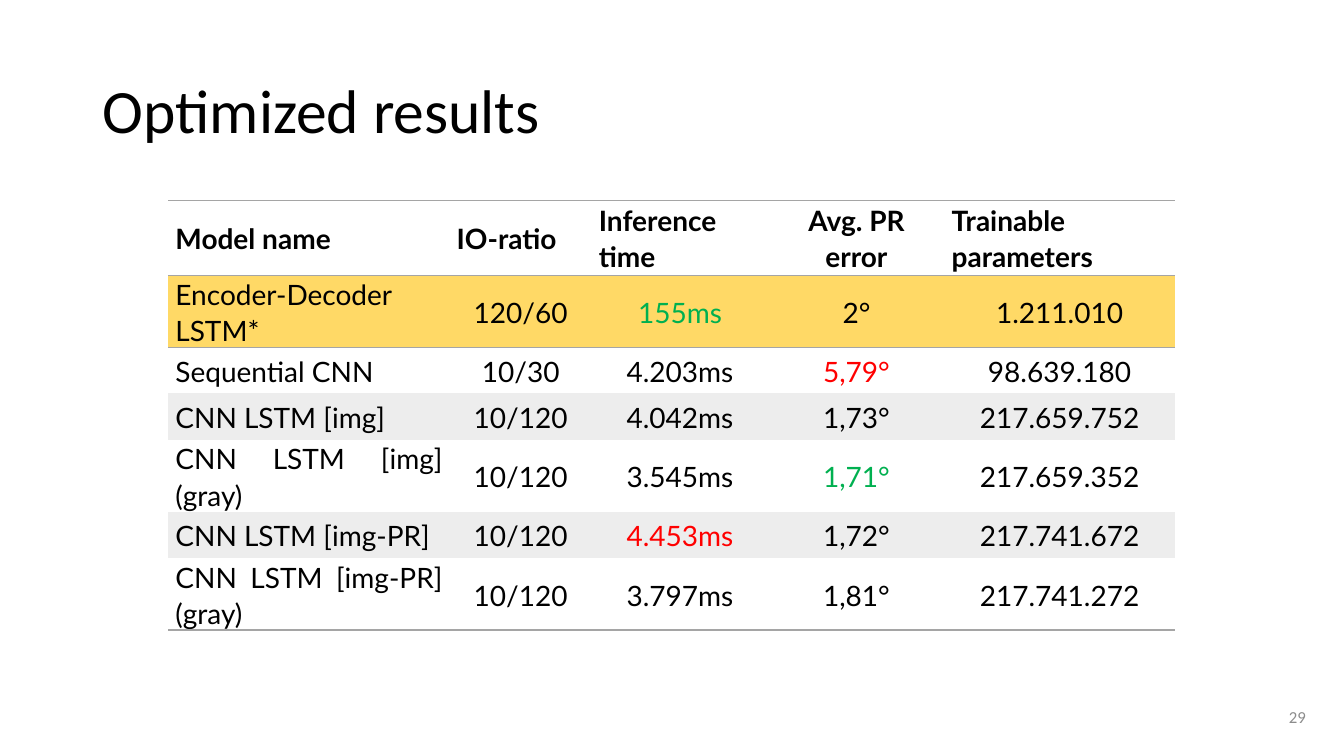
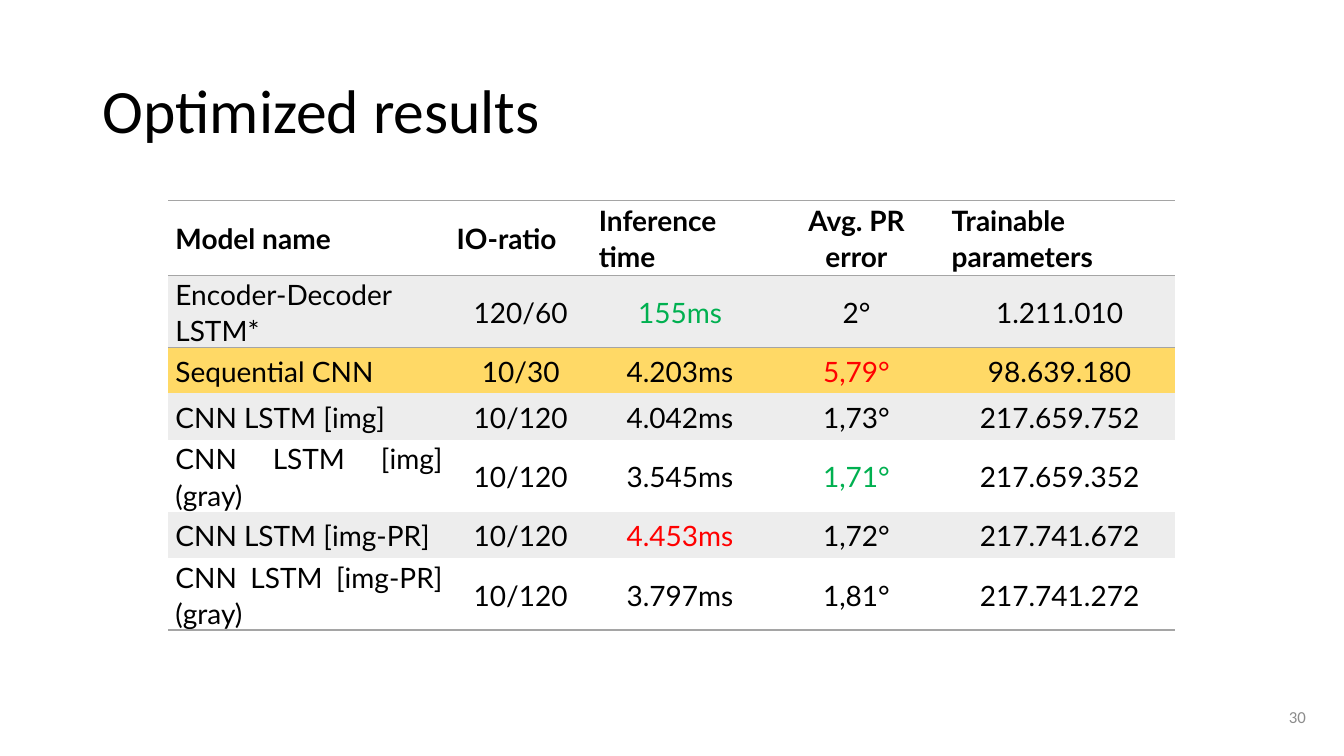
from lxml.etree import SubElement
from pptx import Presentation
from pptx.dml.color import RGBColor
from pptx.enum.text import MSO_ANCHOR, PP_ALIGN
from pptx.oxml.ns import qn
from pptx.util import Inches, Pt

BLACK, GRAY, RULE = "000000", "8C8C8C", "A5A5A5"
GREEN, RED = "00B050", "FF0000"
BAND, HIGHLIGHT = "EDEDED", "FFD966"
NO_GRID_STYLE = "{2D5ABB26-0587-4C30-8999-92F81FD0307C}"

HEADER = ["Model name", "IO-ratio", "Inference time ", "Avg. PR error", "Trainable parameters"]
RESULTS = [
    ["Encoder-Decoder LSTM*", "120/60", "155ms", "2°", "1.211.010"],
    ["Sequential CNN", "10/30", "4.203ms", "5,79°", "98.639.180"],
    ["CNN LSTM [img]", "10/120", "4.042ms", "1,73°", "217.659.752"],
    ["CNN LSTM [img] (gray)", "10/120", "3.545ms", "1,71°", "217.659.352"],
    ["CNN LSTM [img-PR]", "10/120", "4.453ms", "1,72°", "217.741.672"],
    ["CNN LSTM [img-PR] (gray)", "10/120", "3.797ms", "1,81°", "217.741.272"],
]
TEXT_COLORS = {"155ms": GREEN, "1,71°": GREEN, "4.453ms": RED, "5,79°": RED}
COLUMN_WIDTHS = [2.79, 1.41, 1.75, 1.75, 2.28]
ROW_HEIGHTS = [0.74] + [0.46] * len(RESULTS)


def rgb(value):
    return RGBColor.from_string(value)


class Deck:
    """Holds the presentation, its style and the current slide."""

    def __init__(self):
        self.presentation = Presentation()
        self.presentation.slide_width = Inches(13.33)
        self.presentation.slide_height = Inches(7.5)
        self.slide = None

    def add_slide(self, title, number):
        self.slide = self.presentation.slides.add_slide(self.presentation.slide_layouts[6])
        self.add_text(str(number), (10.8, 6.91, 2.25, 0.4), 12, GRAY, PP_ALIGN.RIGHT)
        self.add_text(title, (0.92, 0.4, 12.11, 1.45), 44, BLACK, PP_ALIGN.LEFT, 0.9)

    def style_paragraph(self, paragraph, font_name, size, color, alignment, line_spacing):
        paragraph.alignment = alignment
        paragraph.line_spacing = line_spacing
        paragraph.font.name = font_name
        paragraph.font.size = Pt(size)
        paragraph.font.color.rgb = rgb(color)

    def add_text(self, text, box, size, color, alignment, line_spacing=1.0):
        frame = self.slide.shapes.add_textbox(*map(Inches, box)).text_frame
        frame.word_wrap = True
        frame.vertical_anchor = MSO_ANCHOR.MIDDLE
        frame.text = text
        self.style_paragraph(frame.paragraphs[0], "Calibri", size, color, alignment, line_spacing)

    def add_border(self, cell, side):
        properties = cell._tc.get_or_add_tcPr()
        line = SubElement(properties, qn(f"a:{side}"), w=str(Pt(1)))
        fill = SubElement(line, qn("a:solidFill"))
        SubElement(fill, qn("a:srgbClr"), val=RULE)

    def fill_cell(self, cell, text, is_header, centered, fill):
        cell.margin_left = cell.margin_right = Inches(0.07)
        cell.margin_top = cell.margin_bottom = 0
        cell.vertical_anchor = MSO_ANCHOR.MIDDLE
        cell.text = text
        paragraph = cell.text_frame.paragraphs[0]
        alignment = PP_ALIGN.CENTER if centered else PP_ALIGN.JUSTIFY
        color = TEXT_COLORS.get(text, BLACK)
        self.style_paragraph(paragraph, "Lato", 20, color, alignment, 1.07)
        paragraph.space_after = Pt(8)
        paragraph.font.bold = is_header
        if fill:
            cell.fill.solid()
            cell.fill.fore_color.rgb = rgb(fill)
        else:
            cell.fill.background()

    def add_results_table(self, highlighted_row):
        rows = [HEADER] + RESULTS
        shape = self.slide.shapes.add_table(
            len(rows), len(HEADER), Inches(1.67), Inches(1.99),
            Inches(sum(COLUMN_WIDTHS)), Inches(sum(ROW_HEIGHTS)))
        table = shape.table
        table.horz_banding = False
        table._tbl.tblPr.find(qn("a:tableStyleId")).text = NO_GRID_STYLE
        for column, width in zip(table.columns, COLUMN_WIDTHS):
            column.width = Inches(width)
        for row, height in zip(table.rows, ROW_HEIGHTS):
            row.height = Inches(height)
        for row_index, values in enumerate(rows):
            is_header = row_index == 0
            fill = BAND if row_index % 2 else None
            if row_index == highlighted_row:
                fill = HIGHLIGHT
            for column_index, text in enumerate(values):
                cell = table.cell(row_index, column_index)
                if row_index in (0, 1):
                    self.add_border(cell, "lnT")
                if row_index in (0, len(RESULTS)):
                    self.add_border(cell, "lnB")
                centered = column_index == 3 if is_header else column_index > 0
                self.fill_cell(cell, text, is_header, centered, fill)


def main():
    deck = Deck()
    for number, highlighted_row in ((29, 1), (30, 2)):
        deck.add_slide("Optimized results", number)
        deck.add_results_table(highlighted_row)
    deck.presentation.save("out.pptx")


if __name__ == "__main__":
    main()
